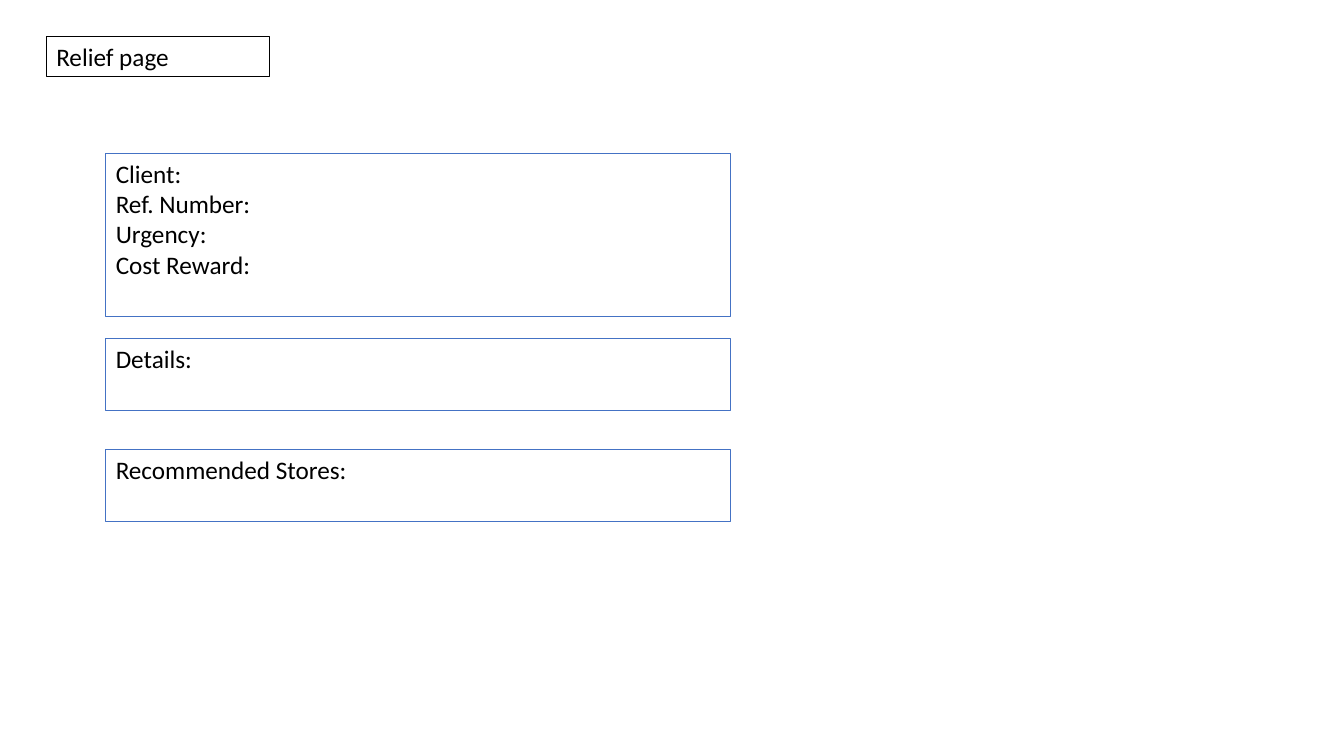
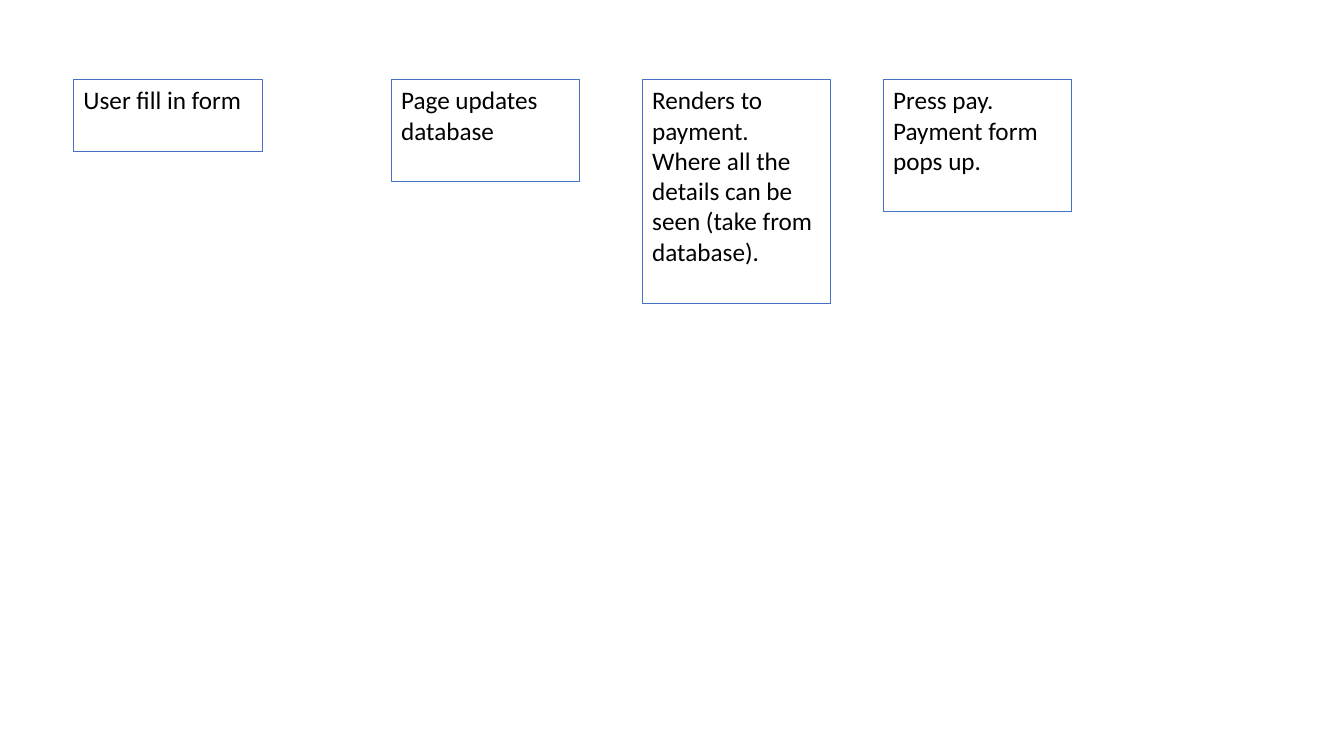
from pptx import Presentation
from pptx import util as u
from pptx.dml.color import RGBColor
from pptx.enum import text

BLACK = RGBColor(0x00, 0x00, 0x00)
BLUE = RGBColor(0x44, 0x72, 0xC4)
FONT = "Calibri"

# Relief page: heading, then (top, height, lines) for each form box
HEADING = "Relief page"
FORM_LEFT, FORM_WIDTH = 1.05, 6.2
FORM_BOXES = [
    (1.52, 1.62, ["Client:", "Ref. Number:", "Urgency:", "Cost Reward:"]),
    (3.36, 0.71, ["Details:"]),
    (4.46, 0.71, ["Recommended Stores:"]),
]

# Payment flow: (left, height, step)
STEP_TOP, STEP_WIDTH = 0.79, 1.87
STEPS = [
    (0.73, 0.71, "User fill in form"),
    (3.88, 1.01, "Page updates database"),
    (6.37, 2.22, "Renders to payment. Where all the details can be seen "
                 "(take from database)."),
    (8.76, 1.31, "Press pay. Payment form pops up."),
]


def add_box(slide, left, top, width, height, lines, line_color=BLUE):
    """Add an outlined text box with one paragraph per line."""
    box = slide.shapes.add_textbox(*map(u.Inches, (left, top, width, height)))
    box.line.color.rgb = line_color
    box.line.width = u.Pt(0.75)
    frame = box.text_frame
    frame.word_wrap = True
    frame.auto_size = text.MSO_AUTO_SIZE.NONE
    frame.vertical_anchor = text.MSO_ANCHOR.TOP
    frame.text = "\n".join(lines)
    for paragraph in frame.paragraphs:
        for run in paragraph.runs:
            run.font.name = FONT
            run.font.size = u.Pt(18)
            run.font.color.rgb = BLACK


def main():
    presentation = Presentation()
    presentation.slide_width = u.Inches(13.33)
    presentation.slide_height = u.Inches(7.5)
    blank = presentation.slide_layouts[6]

    # Relief page form
    slide = presentation.slides.add_slide(blank)
    add_box(slide, 0.46, 0.36, 2.21, 0.4, [HEADING], BLACK)
    for top, height, lines in FORM_BOXES:
        add_box(slide, FORM_LEFT, top, FORM_WIDTH, height, lines)

    # Payment flow
    slide = presentation.slides.add_slide(blank)
    for left, height, step in STEPS:
        add_box(slide, left, STEP_TOP, STEP_WIDTH, height, [step])

    presentation.save("out.pptx")


if __name__ == "__main__":
    main()
